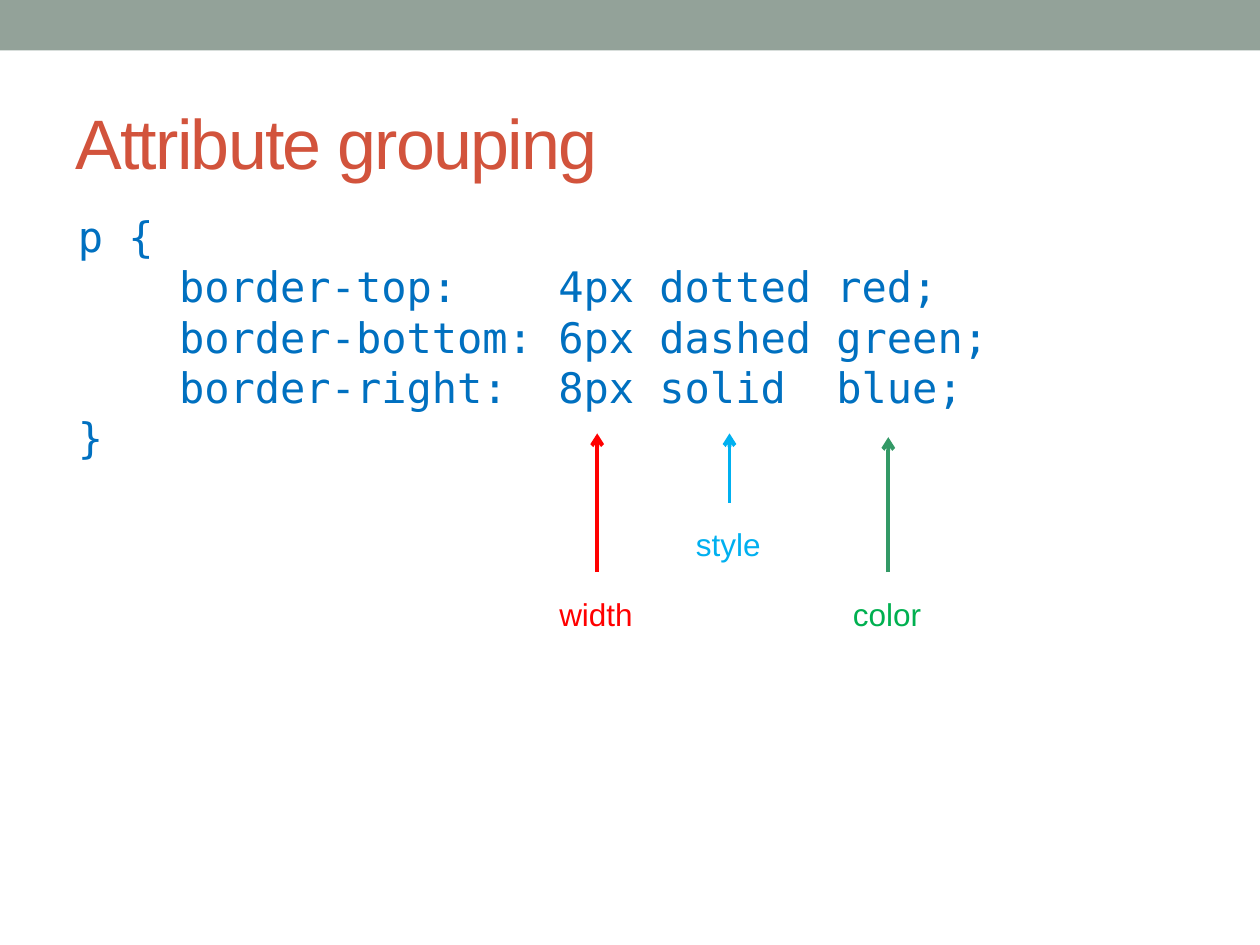
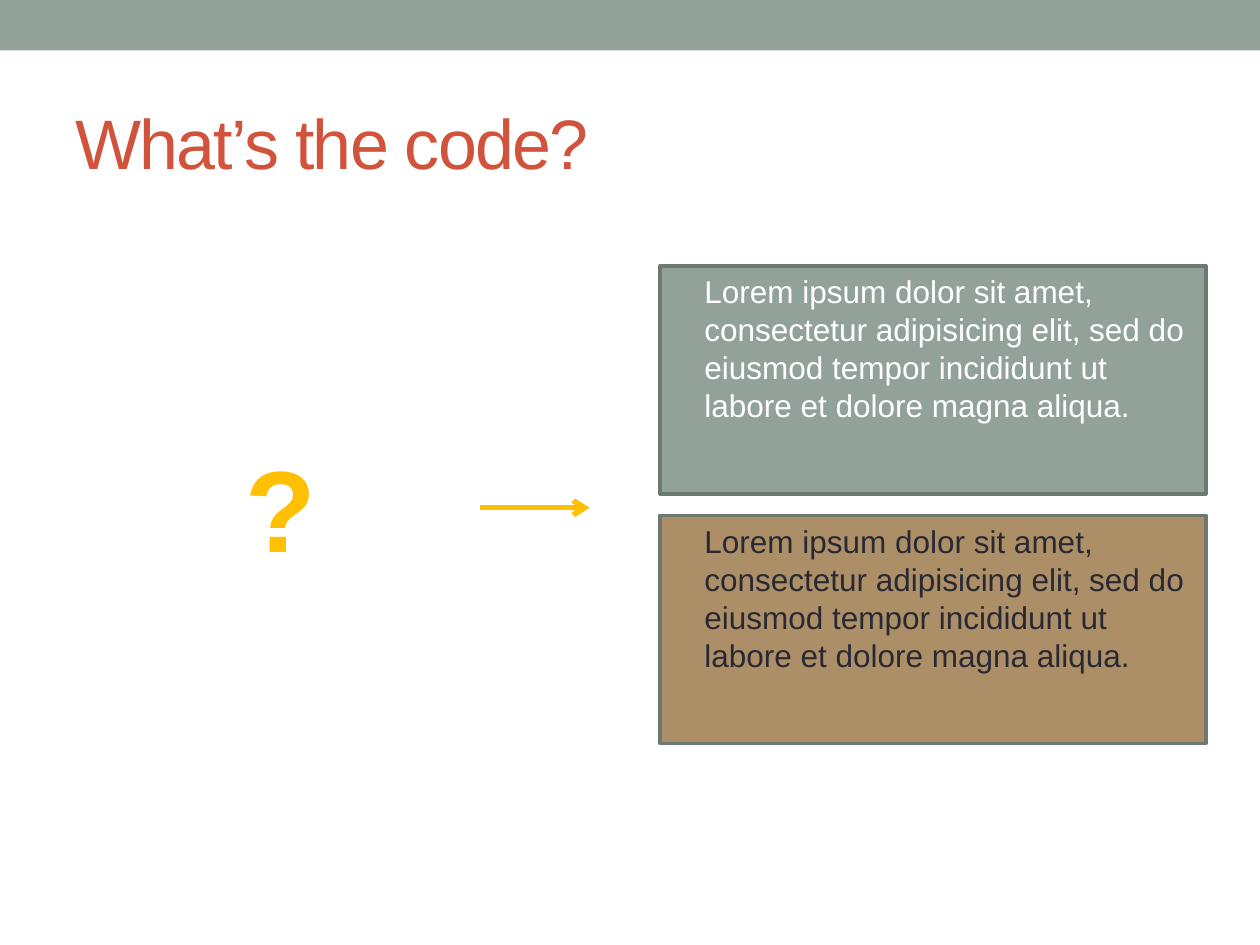
"""Build two slides on CSS border attributes."""
from lxml import etree
from pptx import Presentation
from pptx import util as u
from pptx.dml.color import RGBColor
from pptx.enum import shapes, text
from pptx.oxml.ns import qn

COLOURS = {
    "band": "93A299", "edge": "6D7871", "title": "D2533C", "code": "0070C0",
    "width": "FF0000", "style": "00B0F0", "color": "00B050", "color arrow": "339966",
    "question": "FFC000", "tan": "AD8F67", "light": "FFFFFF", "dark": "292934",
}
SANS, MONO = "Arial", "DejaVu Sans Mono"
CODE = """p {
    border-top:    4px dotted red;
    border-bottom: 6px dashed green;
    border-right:  8px solid  blue;
}"""
LOREM = ("Lorem ipsum dolor sit amet, consectetur adipisicing elit, sed do "
         "eiusmod tempor incididunt ut labore et dolore magna aliqua.")


def rgb(name):
    """Return the named colour."""
    return RGBColor.from_string(COLOURS[name])


def set_all(target, values):
    """Set each attribute in a dict of format values."""
    for name, value in values.items():
        setattr(target, name, value)


def write(shape, words, colour, size, font=SANS, bold=False, para_format=None, frame_format=None):
    """Write one paragraph per line of words into a shape and return its spans."""
    frame = shape.text_frame
    set_all(frame, {"word_wrap": True, **(frame_format or {})})
    spans = []
    for index, line in enumerate(words.split("\n")):
        para = frame.paragraphs[0] if index == 0 else frame.add_paragraph()
        set_all(para, {"alignment": text.PP_ALIGN.LEFT, **(para_format or {})})
        span = para.add_run()
        span.text = line
        set_all(span.font, {"name": font, "size": u.Pt(size), "bold": bold})
        span.font.color.rgb = rgb(colour)
        spans.append(span)
    return spans


def add_text(page, place, *args, **formats):
    """Add a text box at left, top, width, height in inches."""
    box = page.shapes.add_textbox(*map(u.Inches, place))
    return write(box, *args, **formats)


def add_box(page, place, fill, edge=None):
    """Add a filled rectangle, outlined if an edge colour is named."""
    box = page.shapes.add_shape(shapes.MSO_SHAPE.RECTANGLE, *map(u.Inches, place))
    box.shadow.inherit = False
    box.fill.solid()
    box.fill.fore_color.rgb = rgb(fill)
    if edge:
        box.line.color.rgb = rgb(edge)
        box.line.width = u.Pt(2.08)
    else:
        box.line.fill.background()
    return box


def add_arrow(page, start, end, colour, weight):
    """Add a straight line with an open arrowhead at its end."""
    arrow = page.shapes.add_connector(
        shapes.MSO_CONNECTOR.STRAIGHT, *map(u.Inches, (*start, *end)))
    arrow.line.color.rgb = rgb(colour)
    arrow.line.width = u.Pt(weight)
    etree.SubElement(arrow.line._get_or_add_ln(), qn("a:tailEnd"), type="arrow")
    etree.SubElement(arrow._element.spPr, qn("a:effectLst"))


def add_page(deck, title):
    """Add a blank page with the top band and a title."""
    page = deck.slides.add_slide(deck.slide_layouts[6])
    add_box(page, (0, 0, 10, 0.4), "band")
    spans = add_text(page, (0.5, 0.58, 9, 1.08), title, "title", 40,
                     frame_format={"vertical_anchor": text.MSO_ANCHOR.MIDDLE})
    for span in spans:
        span.font._element.set("spc", "-100")
    return page


def add_callout(page, word, x, bottom, top, arrow_colour):
    """Add an upward arrow with its word centred below."""
    add_arrow(page, (x, bottom), (x, top), arrow_colour, 2.25)
    add_text(page, (x - 0.6, bottom + 0.13, 1.18, 0.4), word, word, 18,
             para_format={"alignment": text.PP_ALIGN.CENTER})


def add_sample(page, top, fill, colour):
    """Add a bordered block of sample text."""
    box = add_box(page, (5.24, top, 4.33, 1.81), fill, "edge")
    write(box, LOREM, colour, 18, para_format={"line_spacing": u.Pt(21.7)},
          frame_format={"vertical_anchor": text.MSO_ANCHOR.TOP,
                        "margin_left": u.Inches(0.35), "margin_top": u.Inches(0.05)})


def main():
    """Build and save the deck."""
    deck = Presentation()
    set_all(deck, {"slide_width": u.Inches(10), "slide_height": u.Inches(7.5)})

    page = add_page(deck, "Attribute grouping")
    add_text(page, (0.52, 1.62, 8.41, 2.12), CODE, "code", 24, font=MONO,
             para_format={"line_spacing": u.Pt(28.8)})
    add_callout(page, "width", 4.74, 4.54, 3.44, "width")
    add_callout(page, "style", 5.79, 3.99, 3.44, "style")
    add_callout(page, "color", 7.05, 4.54, 3.47, "color arrow")

    page = add_page(deck, "What’s the code?")
    add_sample(page, 2.11, "band", "light")
    add_sample(page, 4.09, "tan", "dark")
    add_arrow(page, (3.81, 4.03), (4.68, 4.03), "question", 3)
    add_text(page, (1.85, 3.42, 0.77, 1.21), "?", "question", 66, bold=True,
             frame_format={"word_wrap": False})

    deck.save("out.pptx")


if __name__ == "__main__":
    main()
